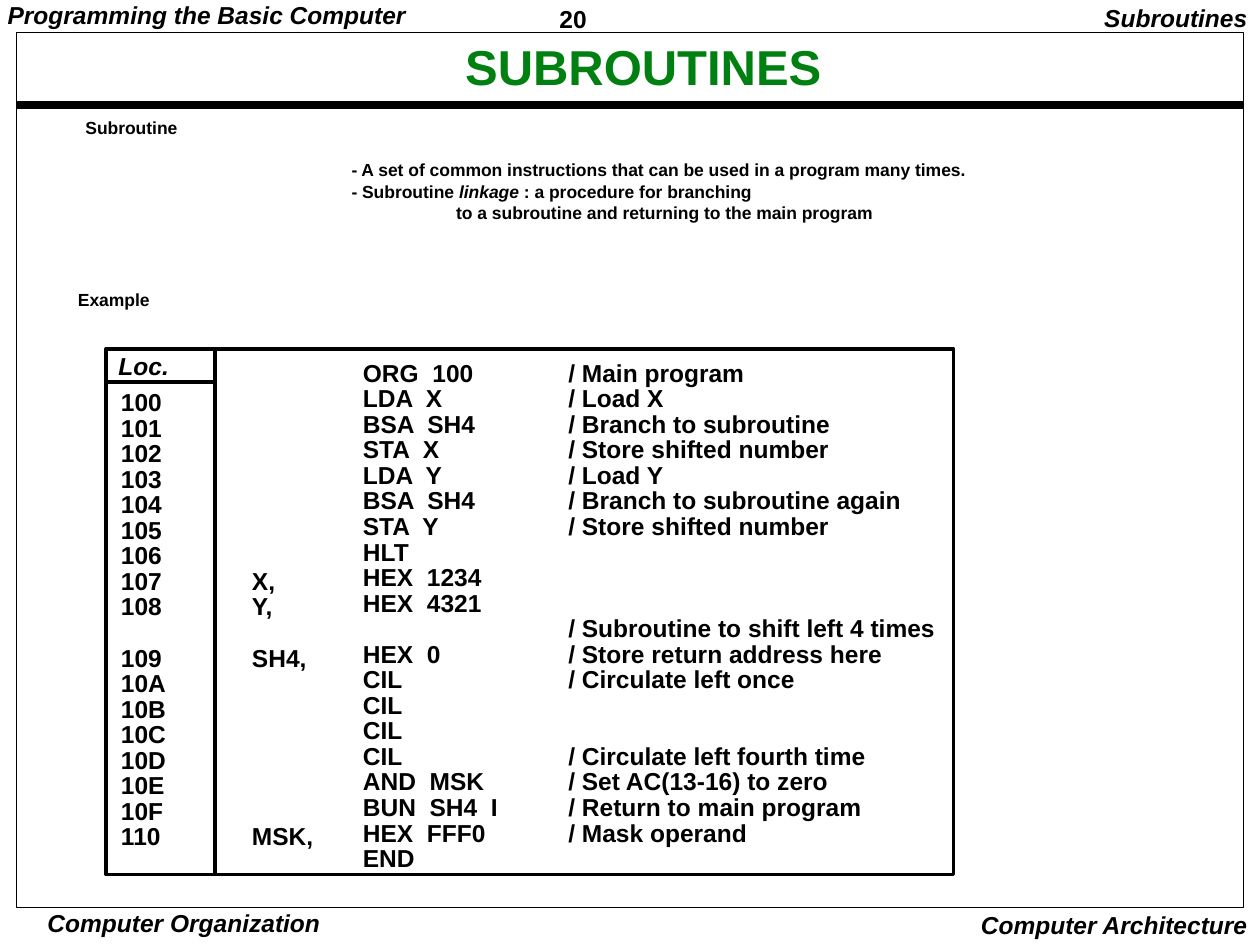
from pptx import Presentation
from pptx.dml.color import RGBColor
from pptx.enum.shapes import MSO_CONNECTOR, MSO_SHAPE
from pptx.enum.text import MSO_ANCHOR, MSO_AUTO_SIZE, PP_ALIGN
from pptx.oxml.ns import qn
from pptx.util import Inches, Pt

BLACK = RGBColor(0x00, 0x00, 0x00)
GREEN = RGBColor(0x00, 0x80, 0x11)
FONT = "Arial"

NARROW = (0.07, 0.03)
WIDE = (0.1, 0.05)
TIGHT = (0.03, 0.01)

CODE_TOP = 2.84
CODE_PITCH = 14.6  # points from one code line to the next

# Location, label, instruction, comment
PROGRAM = [
    ("", "", "ORG  100", "/ Main program"),
    ("100", "", "LDA  X", "/ Load X"),
    ("101", "", "BSA  SH4", "/ Branch to subroutine"),
    ("102", "", "STA  X", "/ Store shifted number"),
    ("103", "", "LDA  Y", "/ Load Y"),
    ("104", "", "BSA  SH4", "/ Branch to subroutine again"),
    ("105", "", "STA  Y", "/ Store shifted number"),
    ("106", "", "HLT", ""),
    ("107", "X,", "HEX  1234", ""),
    ("108", "Y,", "HEX  4321", ""),
    ("", "", "", "/ Subroutine to shift left 4 times"),
    ("109", "SH4,", "HEX  0", "/ Store return address here"),
    ("10A", "", "CIL", "/ Circulate left once"),
    ("10B", "", "CIL", ""),
    ("10C", "", "CIL", ""),
    ("10D", "", "CIL", "/ Circulate left fourth time"),
    ("10E", "", "AND  MSK", "/ Set AC(13-16) to zero"),
    ("10F", "", "BUN  SH4  I", "/ Return to main program"),
    ("110", "MSK,", "HEX  FFF0", "/ Mask operand"),
    ("", "", "END", ""),
]

# Left, width and downward shift of each program column
COLUMNS = [(0.89, 0.55, 0.03), (1.93, 0.9, 0.03), (2.81, 1.35, 0), (4.44, 3.12, 0)]


def style(font, size, italic=False, color=BLACK):
    font.name = FONT
    font.size = Pt(size)
    font.bold = True
    font.italic = italic
    font.color.rgb = color


def add_box(slide, left, top, width, height, insets):
    box = slide.shapes.add_textbox(Inches(left), Inches(top), Inches(width), Inches(height))
    frame = box.text_frame
    frame.word_wrap = False
    frame.auto_size = MSO_AUTO_SIZE.SHAPE_TO_FIT_TEXT
    frame.margin_left = frame.margin_right = Inches(insets[0])
    frame.margin_top = frame.margin_bottom = Inches(insets[1])
    return frame


def add_label(slide, text, left, top, width, height, insets=WIDE, size=14,
              italic=False, align=PP_ALIGN.LEFT, spacing=0.9, color=BLACK):
    frame = add_box(slide, left, top, width, height, insets)
    frame.text = text
    para = frame.paragraphs[0]
    para.alignment = align
    para.line_spacing = spacing
    style(para.runs[0].font, size, italic, color)
    return frame


def add_frame(slide, left, top, width, height, weight):
    shape = slide.shapes.add_shape(MSO_SHAPE.RECTANGLE, Inches(left), Inches(top),
                                   Inches(width), Inches(height))
    shape.shadow.inherit = False
    shape.fill.background()
    shape.line.color.rgb = BLACK
    shape.line.width = Pt(weight)


def add_rule(slide, x1, y1, x2, y2, weight):
    rule = slide.shapes.add_connector(MSO_CONNECTOR.STRAIGHT, Inches(x1), Inches(y1),
                                      Inches(x2), Inches(y2))
    rule.line.color.rgb = BLACK
    rule.line.width = Pt(weight)
    properties = rule._element.spPr
    properties.append(properties.makeelement(qn("a:effectLst"), {}))


def add_definition(slide):
    lines = [
        [("- A set of common instructions that can be used in a program many times.", False)],
        [("- Subroutine ", False), ("linkage ", True), (": a procedure for branching", False)],
        [("to a subroutine and returning to the main program", False)],
    ]
    frame = add_box(slide, 2.72, 1.23, 5.1, 0.56, NARROW)
    for index, line in enumerate(lines):
        para = frame.add_paragraph() if index else frame.paragraphs[0]
        para.line_spacing = Pt(12.3)
        for text, italic in line:
            span = para.add_run()
            span.text = text
            style(span.font, 10, italic)
    # The last line continues the one above, so it is indented
    para._p.get_or_add_pPr().set("marL", str(Inches(0.83)))


def add_code_column(slide, texts, left, width, shift):
    rows = [(row, text) for row, text in enumerate(texts) if text]
    first, last = rows[0][0], rows[-1][0]
    top = CODE_TOP + shift + first * CODE_PITCH / 72
    height = (last - first + 1) * CODE_PITCH / 72 + 2 * NARROW[1]
    frame = add_box(slide, left, top, width, height, NARROW)
    previous = first - 1
    for row, text in rows:
        para = frame.paragraphs[0] if row == first else frame.add_paragraph()
        para.text = text
        para.line_spacing = Pt(CODE_PITCH)
        para.space_before = Pt((row - previous - 1) * CODE_PITCH)
        style(para.runs[0].font, 14)
        previous = row


def main():
    deck = Presentation()
    deck.slide_width, deck.slide_height = Inches(10), Inches(7.5)
    slide = deck.slides.add_slide(deck.slide_layouts[6])

    # Page number, footers and page frame
    add_label(slide, "20", 4.37, 0, 1.08, 0.29, NARROW, spacing=1.01)
    add_label(slide, "Computer Organization", 0.26, 7.2, 2.4, 0.26, TIGHT,
              italic=True, align=PP_ALIGN.CENTER, spacing=1.0)
    add_label(slide, "Computer Architecture", 7.6, 7.17, 2.4, 0.33,
              italic=True, align=PP_ALIGN.RIGHT, spacing=1.0)
    add_rule(slide, 0.13, 0.83, 9.87, 0.83, 4.5)
    add_frame(slide, 0.13, 0.26, 9.74, 6.94, 0.5)

    # Title
    title = add_label(slide, "SUBROUTINES", 0.89, 0.32, 8.43, 0.46, size=28,
                      align=PP_ALIGN.CENTER, color=GREEN)
    title.word_wrap = True
    title.auto_size = MSO_AUTO_SIZE.NONE
    title.vertical_anchor = MSO_ANCHOR.MIDDLE

    add_definition(slide)

    # Program listing with its ruled frame
    for texts, (left, width, shift) in zip(zip(*PROGRAM), COLUMNS):
        add_code_column(slide, texts, left, width, shift)
    add_label(slide, "Loc.", 0.87, 2.77, 0.65, 0.28, NARROW, italic=True, spacing=0.97)
    add_frame(slide, 0.84, 2.77, 6.73, 4.17, 2)
    add_rule(slide, 1.71, 2.78, 1.71, 6.94, 2.25)
    add_rule(slide, 0.86, 3.03, 1.71, 3.03, 2.25)

    # Running heads and section labels
    add_label(slide, "Subroutines", 8.6, 0, 1.4, 0.31, italic=True, align=PP_ALIGN.RIGHT)
    add_label(slide, "Subroutine", 0.58, 0.9, 1, 0.25, size=10)
    add_label(slide, "Example", 0.52, 2.26, 0.85, 0.25, size=10)
    add_label(slide, "Programming the Basic Computer", -0.01, 0, 3.45, 0.27, NARROW, italic=True)

    deck.save("out.pptx")


if __name__ == "__main__":
    main()
